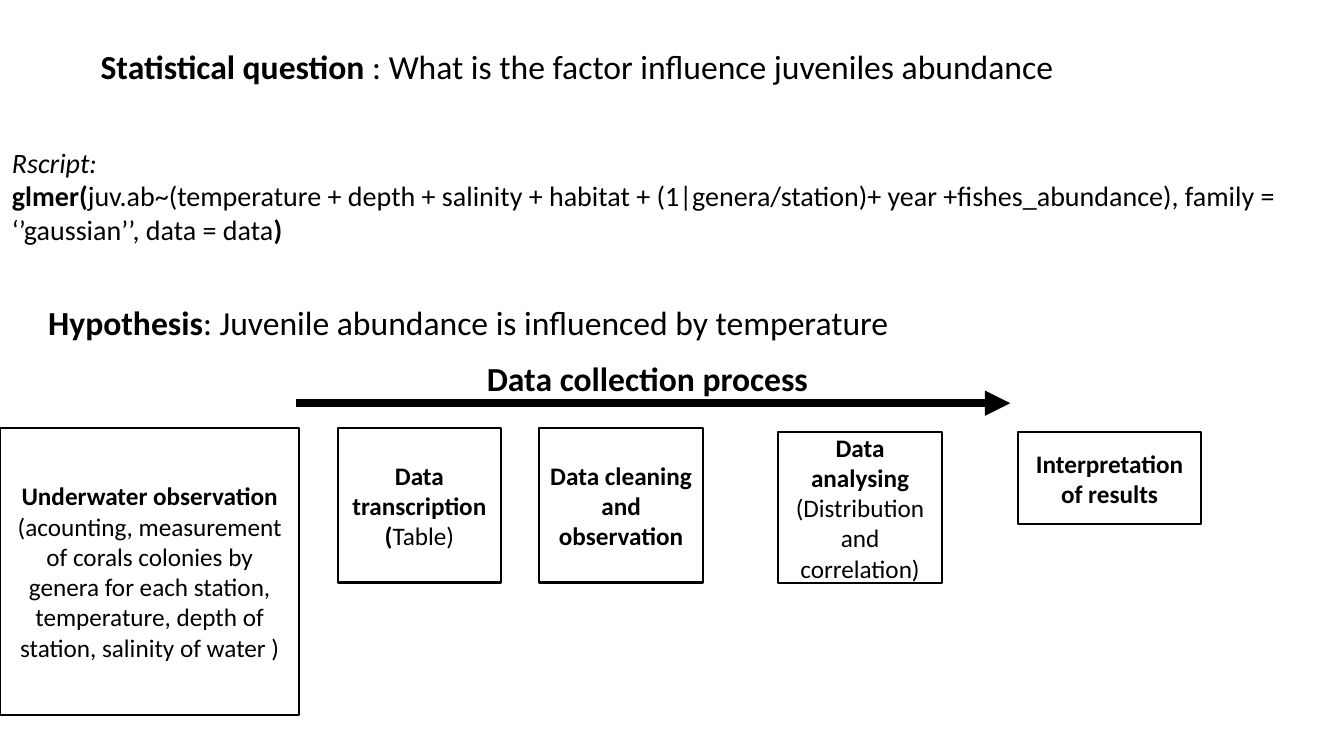
from pptx import Presentation
from pptx.dml.color import RGBColor
from pptx.enum.shapes import MSO_CONNECTOR, MSO_SHAPE
from pptx.enum.text import MSO_ANCHOR, MSO_AUTO_SIZE, PP_ALIGN
from pptx.oxml.ns import qn
from pptx.util import Inches, Pt
from lxml.etree import SubElement


def color(hex_code):
    return RGBColor.from_string(hex_code)


def run(text, **fmt):
    return text, fmt


class SlideBuilder:
    font = "Calibri"
    ink = "000000"

    def __init__(self, slide):
        self.s = slide

    def fill_text(self, tf, paragraphs, size, align):
        for i, runs in enumerate(paragraphs):
            p = tf.paragraphs[0] if i == 0 else tf.add_paragraph()
            p.alignment = align
            for text, fmt in runs:
                r = p.add_run()
                r.text = text
                r.font.name = self.font
                r.font.size = Pt(size)
                r.font.color.rgb = color(self.ink)
                r.font.bold = fmt.get("bold", False)
                r.font.italic = fmt.get("italic", False)

    def text(self, x, y, w, h, paragraphs, size=24, wrap=True):
        sp = self.s.shapes.add_textbox(Inches(x), Inches(y), Inches(w), Inches(h))
        tf = sp.text_frame
        tf.word_wrap = wrap
        tf.auto_size = MSO_AUTO_SIZE.SHAPE_TO_FIT_TEXT
        self.fill_text(tf, paragraphs, size, PP_ALIGN.LEFT)

    def box(self, x, y, w, h, paragraphs, size=18):
        sp = self.s.shapes.add_shape(
            MSO_SHAPE.RECTANGLE, Inches(x), Inches(y), Inches(w), Inches(h))
        sp.shadow.inherit = False
        sp.fill.background()
        sp.line.color.rgb = color(self.ink)
        sp.line.width = Pt(1.5)
        tf = sp.text_frame
        tf.word_wrap = True
        tf.vertical_anchor = MSO_ANCHOR.MIDDLE
        self.fill_text(tf, paragraphs, size, PP_ALIGN.CENTER)

    def arrow(self, x1, y1, x2, y2, width):
        cx = self.s.shapes.add_connector(
            MSO_CONNECTOR.STRAIGHT, Inches(x1), Inches(y1), Inches(x2), Inches(y2))
        cx.line.color.rgb = color(self.ink)
        cx.line.width = Pt(width)
        sp_pr = cx._element.spPr
        SubElement(sp_pr.find(qn("a:ln")), qn("a:tailEnd"), type="triangle")
        SubElement(sp_pr, qn("a:effectLst"))


def main():
    prs = Presentation()
    prs.slide_width = Inches(13.33)
    prs.slide_height = Inches(7.5)
    b = SlideBuilder(prs.slides.add_slide(prs.slide_layouts[6]))

    b.text(0.9, 0.41, 10.26, 0.5, [[
        run("Statistical question ", bold=True),
        run(": What is the factor influence juveniles abundance")]])
    b.text(0.38, 2.95, 8.94, 0.5, [[
        run("Hypothesis", bold=True),
        run(": Juvenile abundance is influenced by temperature")]])
    b.text(4.73, 3.5, 3.5, 0.5, [[run("Data collection process", bold=True)]], wrap=False)

    steps = [
        (0, 4.25, 2.97, 2.84, [
            [run("Underwater observation", bold=True)],
            [run("(acounting, measurement of corals colonies by genera for each station, "
                 "temperature, depth of station, salinity of water )")]]),
        (3.35, 4.25, 1.62, 1.53, [
            [run("Data transcription", bold=True)],
            [run("(", bold=True), run("Table)")]]),
        (5.35, 4.25, 1.62, 1.53, [[run("Data cleaning and observation", bold=True)]]),
        (7.72, 4.29, 1.62, 1.49, [[
            run("Data analysing ", bold=True),
            run("(Distribution and correlation)")]]),
        (10.1, 4.29, 1.81, 0.91, [[run("Interpretation of results", bold=True)]]),
    ]
    for step in steps:
        b.box(*step)

    b.arrow(2.94, 4, 10.02, 4, 6)
    b.text(0.02, 1.39, 12.92, 1.11, [
        [run("Rscript:", italic=True)],
        [run("glmer(", bold=True),
         run("juv.ab~(temperature + depth + salinity + habitat + (1|genera/station)"
             "+ year +fishes_abundance), family = ‘’gaussian’’, data = data"),
         run(")", bold=True)]], size=20)

    prs.save("out.pptx")


if __name__ == "__main__":
    main()
